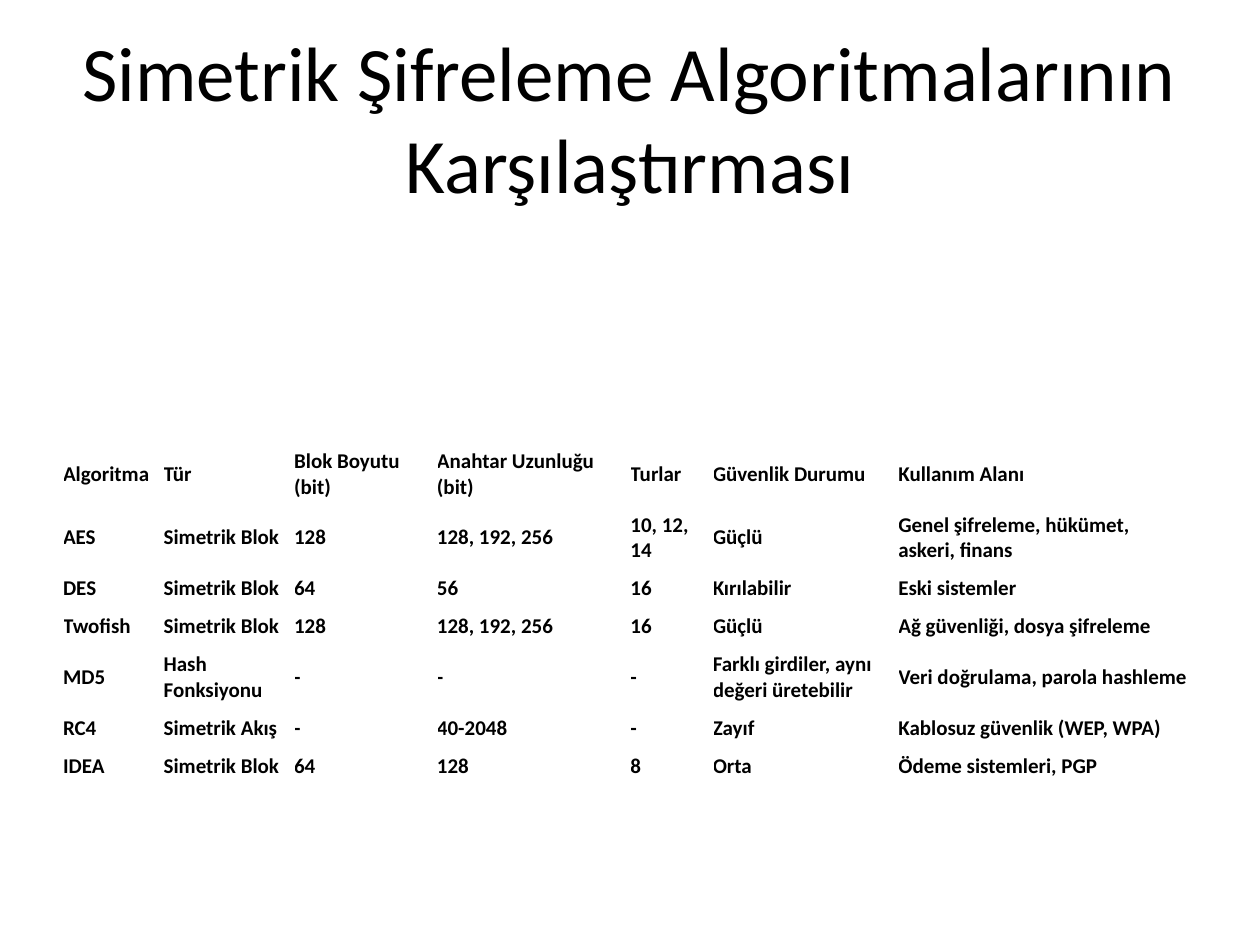
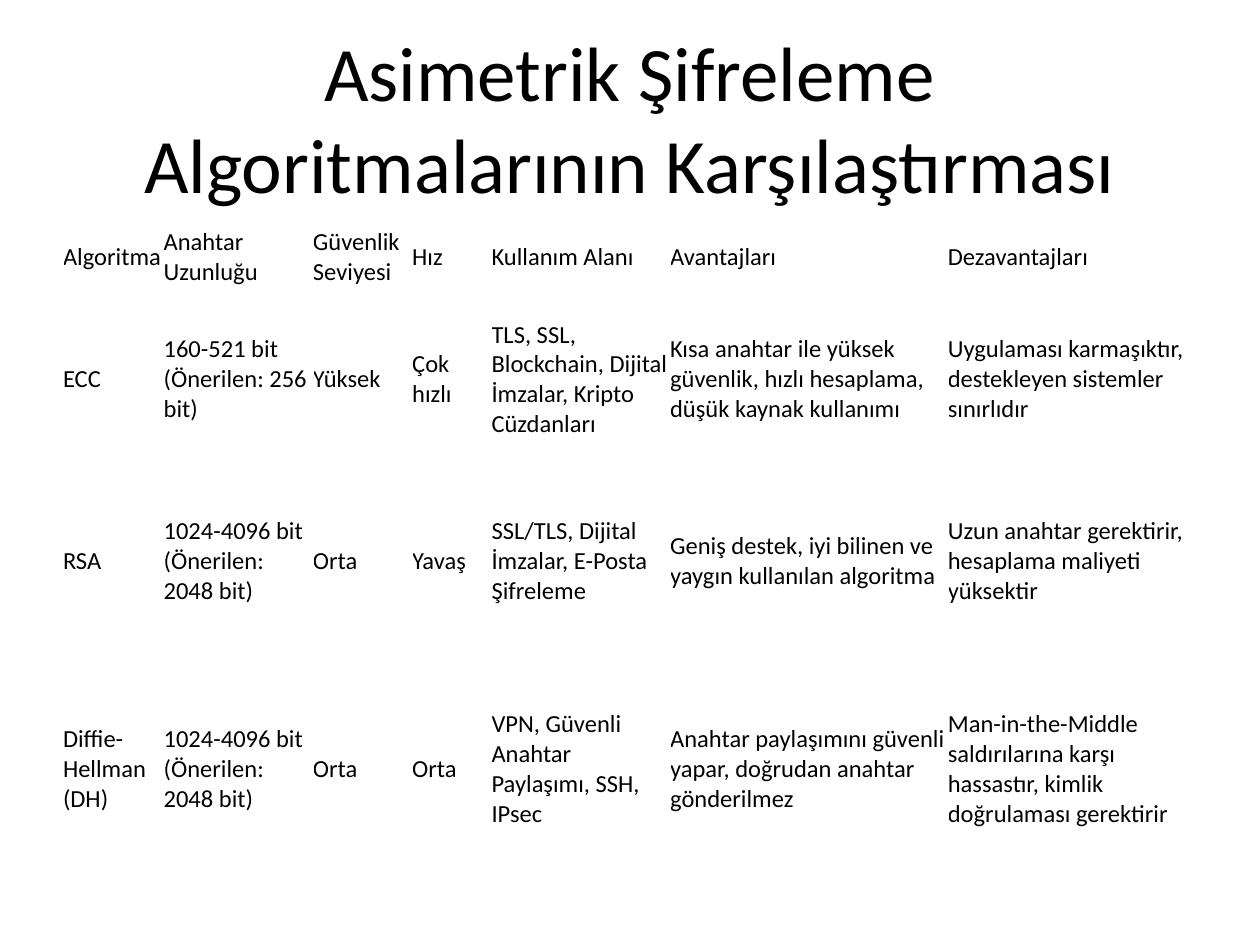
from dataclasses import dataclass

from pptx import Presentation
from pptx.dml.color import RGBColor
from pptx.enum.text import MSO_ANCHOR, PP_ALIGN
from pptx.util import Cm, Pt


@dataclass(frozen=True)
class Theme:
    """Colours, typeface and type sizes shared by the slides."""
    ink: RGBColor = RGBColor(0, 0, 0)
    typeface: str = "Calibri"
    title_size: int = 44
    symmetric_size: int = 12
    asymmetric_size: int = 14


THEME = Theme()
TITLE_BOX = (1.27, 0.76, 22.86, 3.18)
SYMMETRIC_BOX = (1.27, 8.92, 22.86)
ASYMMETRIC_BOX = (1.27, 4.45, 22.86)
CELL_FORMAT = {
    "vertical_anchor": MSO_ANCHOR.MIDDLE,
    "margin_left": 0,
    "margin_right": 0,
    "margin_top": Cm(0.13),
    "margin_bottom": Cm(0.13),
}

ONE_LINE, TWO_LINES = 0.53, 1.04
SYMMETRIC_HEIGHTS = [TWO_LINES, TWO_LINES, ONE_LINE, ONE_LINE, TWO_LINES, ONE_LINE, ONE_LINE]
SYMMETRIC_WIDTHS = [2.03, 2.63, 2.88, 3.9, 1.66, 3.74]
SYMMETRIC_ROWS = [
    ["Algoritma", "Tür", "Blok Boyutu (bit)", "Anahtar Uzunluğu (bit)", "Turlar",
     "Güvenlik Durumu", "Kullanım Alanı"],
    ["AES", "Simetrik Blok", "128", "128, 192, 256", "10, 12, 14", "Güçlü",
     "Genel şifreleme, hükümet,\naskeri, finans"],
    ["DES", "Simetrik Blok", "64", "56", "16", "Kırılabilir", "Eski sistemler"],
    ["Twofish", "Simetrik Blok", "128", "128, 192, 256", "16", "Güçlü",
     "Ağ güvenliği, dosya şifreleme"],
    ["MD5", "Hash Fonksiyonu", "-", "-", "-", "Farklı girdiler, aynı değeri üretebilir",
     "Veri doğrulama, parola hashleme"],
    ["RC4", "Simetrik Akış", "-", "40-2048", "-", "Zayıf", "Kablosuz güvenlik (WEP, WPA)"],
    ["IDEA", "Simetrik Blok", "64", "128", "8", "Orta", "Ödeme sistemleri, PGP"],
]

ASYMMETRIC_HEIGHTS = [1.19, 3.5, 3.83, 4.55]
ASYMMETRIC_WIDTHS = [2.03, 3.01, 2, 1.6, 3.6, 5.6]
ASYMMETRIC_ROWS = [
    ["Algoritma", "Anahtar Uzunluğu", "Güvenlik Seviyesi", "Hız", "Kullanım Alanı",
     "Avantajları", "Dezavantajları"],
    ["ECC", "160-521 bit (Önerilen: 256 bit)", "Yüksek", "Çok hızlı",
     "TLS, SSL, Blockchain, Dijital İmzalar, Kripto Cüzdanları",
     "Kısa anahtar ile yüksek güvenlik, hızlı hesaplama, düşük kaynak kullanımı",
     "Uygulaması karmaşıktır, destekleyen sistemler sınırlıdır"],
    ["RSA", "1024-4096 bit (Önerilen: 2048 bit)", "Orta", "Yavaş",
     "SSL/TLS, Dijital İmzalar, E-Posta Şifreleme",
     "Geniş destek, iyi bilinen ve yaygın kullanılan algoritma",
     "Uzun anahtar gerektirir, hesaplama maliyeti yüksektir"],
    ["Diffie-Hellman (DH)", "1024-4096 bit (Önerilen: 2048 bit)", "Orta", "Orta",
     "VPN, Güvenli Anahtar Paylaşımı, SSH, IPsec",
     "Anahtar paylaşımını güvenli yapar, doğrudan anahtar gönderilmez",
     "Man-in-the-Middle saldırılarına karşı hassastır, kimlik doğrulaması gerektirir"],
]


def apply_format(target, values):
    """Set every attribute named in values on target."""
    for attribute, value in values.items():
        setattr(target, attribute, value)


def style_text(frame, size, bold=False):
    """Give all paragraphs of a text frame the theme's type."""
    for paragraph in frame.paragraphs:
        apply_format(paragraph.font, {"name": THEME.typeface, "size": Pt(size), "bold": bold})
        paragraph.font.color.rgb = THEME.ink


def add_title(slide, box, wording):
    """Centre the slide title in its box."""
    frame = slide.shapes.add_textbox(*map(Cm, box)).text_frame
    apply_format(frame, {"text": wording, "word_wrap": True,
                         "vertical_anchor": MSO_ANCHOR.MIDDLE})
    frame.paragraphs[0].alignment = PP_ALIGN.CENTER
    style_text(frame, THEME.title_size)


def add_comparison(slide, box, rows, widths, heights, size, bold):
    """Lay out a plain table whose last column takes the remaining width."""
    left, top, width = box
    grid = slide.shapes.add_table(len(rows), len(rows[0]), Cm(left), Cm(top),
                                  Cm(width), Cm(sum(heights))).table
    apply_format(grid, {"first_row": False, "horz_banding": False})
    for column, column_width in zip(grid.columns, widths + [width - sum(widths)]):
        column.width = Cm(column_width)
    for row, height, wordings in zip(grid.rows, heights, rows):
        row.height = Cm(height)
        for cell, wording in zip(row.cells, wordings):
            apply_format(cell, {"text": wording, **CELL_FORMAT})
            cell.fill.background()
            style_text(cell.text_frame, size, bold)


def add_comparison_slide(deck, title, *comparison):
    """Add a slide with a title above one comparison table."""
    slide = deck.slides.add_slide(deck.slide_layouts[6])
    add_title(slide, TITLE_BOX, title)
    add_comparison(slide, *comparison)


def main():
    """Build and save the deck."""
    deck = Presentation()
    apply_format(deck, {"slide_width": Cm(25.4), "slide_height": Cm(19.05)})
    add_comparison_slide(deck, "Simetrik Şifreleme Algoritmalarının Karşılaştırması",
                         SYMMETRIC_BOX, SYMMETRIC_ROWS, SYMMETRIC_WIDTHS,
                         SYMMETRIC_HEIGHTS, THEME.symmetric_size, True)
    add_comparison_slide(deck, "Asimetrik Şifreleme Algoritmalarının Karşılaştırması",
                         ASYMMETRIC_BOX, ASYMMETRIC_ROWS, ASYMMETRIC_WIDTHS,
                         ASYMMETRIC_HEIGHTS, THEME.asymmetric_size, False)
    deck.save("out.pptx")


if __name__ == "__main__":
    main()
